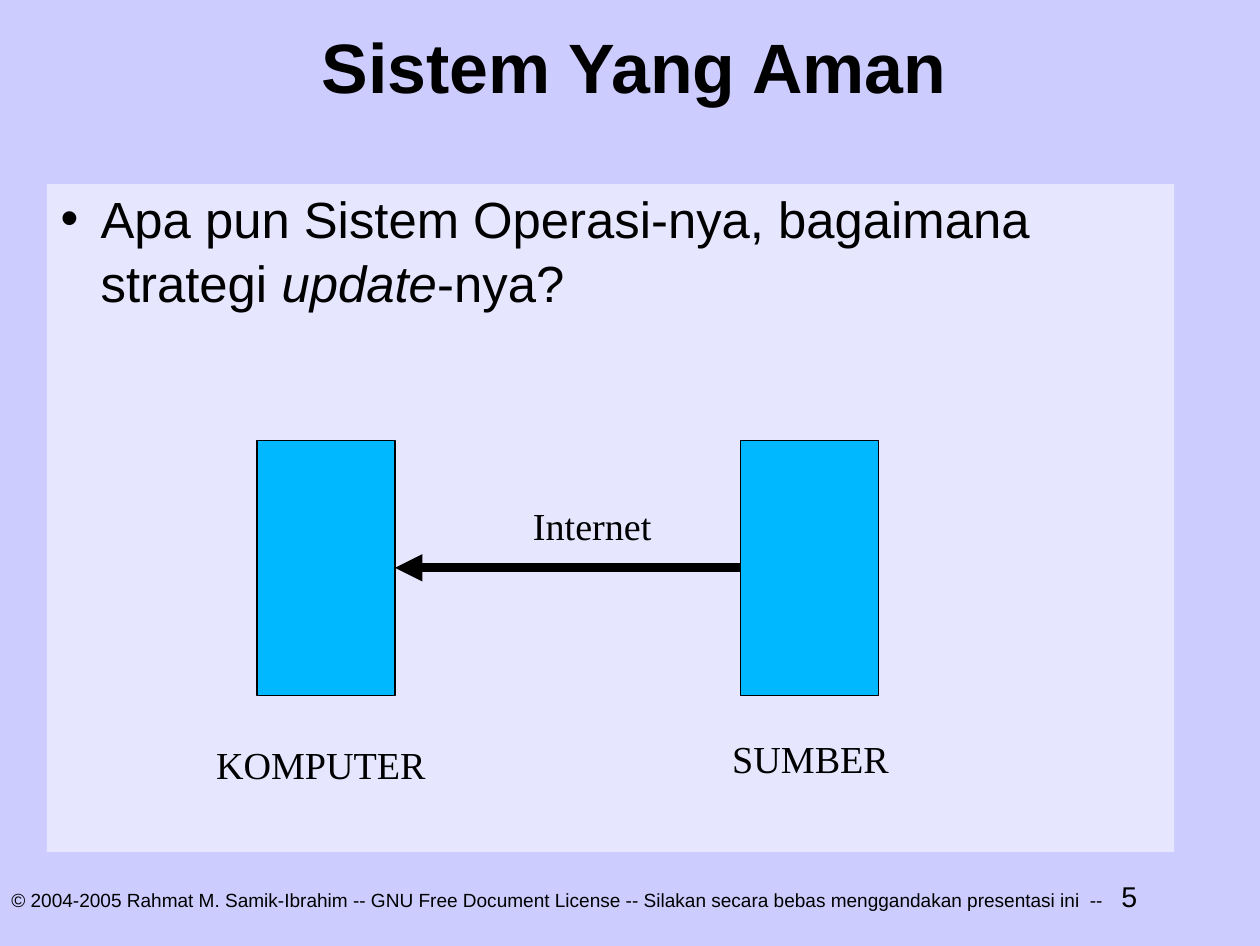
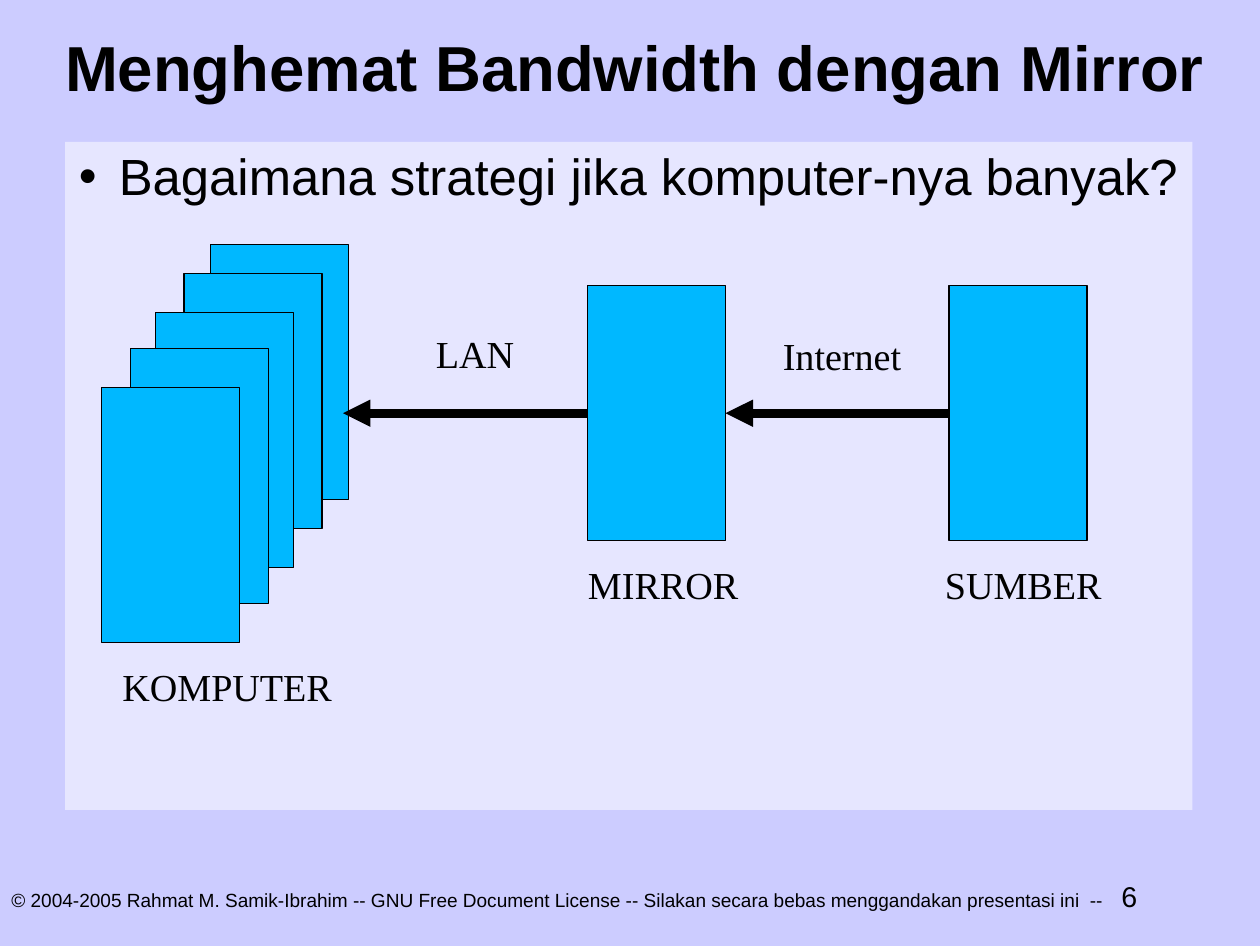
from dataclasses import dataclass

from lxml import etree
from pptx import Presentation
from pptx.dml.color import RGBColor
from pptx.enum.shapes import MSO_CONNECTOR, MSO_SHAPE
from pptx.enum.text import MSO_ANCHOR, PP_ALIGN
from pptx.oxml.ns import qn
from pptx.util import Inches, Pt

RECTANGLE = MSO_SHAPE.RECTANGLE
STRAIGHT = MSO_CONNECTOR.STRAIGHT
LEFT, CENTER = PP_ALIGN.LEFT, PP_ALIGN.CENTER
TOP, MIDDLE = MSO_ANCHOR.TOP, MSO_ANCHOR.MIDDLE
LEFT_SIDE, RIGHT_SIDE = 1, 3


@dataclass(frozen=True)
class Theme:
    background: RGBColor = RGBColor(0xCC, 0xCC, 0xFF)
    panel: RGBColor = RGBColor(0xE6, 0xE6, 0xFF)
    node: RGBColor = RGBColor(0x00, 0xB8, 0xFF)
    ink: RGBColor = RGBColor(0, 0, 0)
    sans: str = "Arial"
    serif: str = "Times New Roman"
    title_size: int = 44
    long_title_size: int = 40
    body_size: int = 32
    label_size: int = 24
    page_size: int = 18
    footer_size: int = 12
    arrow_width: float = 5.75


THEME = Theme()
SLIDE_WIDTH, SLIDE_HEIGHT = Inches(11.02), Inches(8.27)

# Places and lengths are counted on a grid of 100 columns by 100 rows.
COLUMN, ROW = SLIDE_WIDTH / 100, SLIDE_HEIGHT / 100
TITLE_BOX = (2.45, 2.54, 95.8, 8.83)
FOOTER_BOX = (0.9, 92.87, 98.7, 4.47)
PANEL_SIZE = (89.47, 70.62)
NODE_SIZE = (10.95, 26.96)
LABEL_SIZE = (18.15, 5.56)
PAGE_TAB = 88.1
BULLET_INDENT, BULLET_HANG = Inches(0.47), Inches(-0.35)
FOOTER = ("© 2004-2005 Rahmat M. Samik-Ibrahim -- GNU Free Document License"
          " -- Silakan secara bebas menggandakan presentasi ini  --")


def on_grid(column, row):
    return round(column * COLUMN), round(row * ROW)


def place(box):
    return *on_grid(*box[:2]), *on_grid(*box[2:])


def write(shape, runs, *, size, font=THEME.sans, bold=False, align=LEFT,
          anchor=TOP, wrap=True):
    """Fill a shape with one paragraph of (text, font overrides) runs."""
    frame = shape.text_frame
    frame.word_wrap = wrap
    frame.vertical_anchor = anchor
    frame.margin_left = frame.margin_right = 0
    frame.margin_top = frame.margin_bottom = 0
    paragraph = frame.paragraphs[0]
    paragraph.alignment = align
    for text, overrides in runs:
        run = paragraph.add_run()
        run.text = text
        run.font.name = font
        run.font.color.rgb = THEME.ink
        run.font.bold = bold
        run.font.size = Pt(overrides.get("size", size))
        run.font.italic = overrides.get("italic", False)
    return paragraph


def add_text(slide, box, runs, **text_format):
    return write(slide.shapes.add_textbox(*place(box)), runs, **text_format)


def add_rectangle(slide, box, fill, outlined=False):
    rectangle = slide.shapes.add_shape(RECTANGLE, *place(box))
    rectangle.shadow.inherit = False
    rectangle.fill.solid()
    rectangle.fill.fore_color.rgb = fill
    if outlined:
        rectangle.line.color.rgb = THEME.ink
        rectangle.line.width = Pt(0)
    else:
        rectangle.line.fill.background()
    return rectangle


def add_node(slide, column, row):
    return add_rectangle(slide, (column, row, *NODE_SIZE), THEME.node, True)


def add_label(slide, text, column, row, width=LABEL_SIZE[0], align=CENTER):
    add_text(slide, (column, row, width, LABEL_SIZE[1]), [(text, {})],
             size=THEME.label_size, font=THEME.serif, align=align)


def add_arrow(slide, source, target=None, tip_column=0):
    """Point left from source to target, or to a column at the same height."""
    middle = source.top + source.height // 2
    arrow = slide.shapes.add_connector(
        STRAIGHT, source.left, middle, on_grid(tip_column, 0)[0], middle)
    arrow.begin_connect(source, LEFT_SIDE)
    if target is not None:
        arrow.end_connect(target, RIGHT_SIDE)
    arrow.line.color.rgb = THEME.ink
    arrow.line.width = Pt(THEME.arrow_width)
    etree.SubElement(arrow.line._get_or_add_ln(), qn("a:tailEnd"),
                     type="triangle")
    etree.SubElement(arrow._element.spPr, qn("a:effectLst"))


def add_panel(slide, column, row, runs):
    """Add the pale panel with its bulleted question."""
    panel = add_rectangle(slide, (column, row, *PANEL_SIZE), THEME.panel)
    paragraph = write(panel, runs, size=THEME.body_size)
    paragraph.line_spacing = 1.05
    properties = paragraph._p.get_or_add_pPr()
    properties.set("marL", str(BULLET_INDENT))
    properties.set("indent", str(BULLET_HANG))
    etree.SubElement(properties, qn("a:buFont"), typeface=THEME.sans)
    etree.SubElement(properties, qn("a:buChar"), char="•")


def add_footer(slide, page):
    paragraph = add_text(
        slide, FOOTER_BOX,
        [(FOOTER, {}), (f"\t{page}", {"size": THEME.page_size})],
        size=THEME.footer_size, wrap=False)
    tabs = etree.SubElement(paragraph._p.get_or_add_pPr(), qn("a:tabLst"))
    etree.SubElement(tabs, qn("a:tab"), pos=str(on_grid(PAGE_TAB, 0)[0]),
                     algn="l")


def add_slide(deck, title, page, title_size=THEME.title_size):
    slide = deck.slides.add_slide(deck.slide_layouts[6])
    add_footer(slide, page)
    add_text(slide, TITLE_BOX, [(title, {})], size=title_size, bold=True,
             align=CENTER, anchor=MIDDLE)
    return slide


def build_secure_system(deck):
    slide = add_slide(deck, "Sistem Yang Aman", 5)
    add_panel(slide, 3.72, 19.47, [
        ("Apa pun Sistem Operasi-nya, bagaimana strategi ", {}),
        ("update", {"italic": True}),
        ("-nya?", {}),
    ])
    node_row = 46.55
    computer = add_node(slide, 20.4, node_row)
    origin = add_node(slide, 58.76, node_row)
    add_arrow(slide, origin, computer)
    add_label(slide, "KOMPUTER", 17.15, 78.36, align=LEFT)
    add_label(slide, "Internet", 37.93, 53.08)
    add_label(slide, "SUMBER", 55.26, 77.75)


def build_mirror(deck):
    slide = add_slide(deck, "Menghemat Bandwidth dengan Mirror", 6,
                      THEME.long_title_size)
    add_panel(slide, 5.17, 15,
              [("Bagaimana strategi jika komputer-nya banyak?", {})])
    computers = [(16.7, 25.88), (14.61, 28.9), (12.34, 33.01),
                 (10.34, 36.88), (8.08, 40.99)]
    for column, row in computers:
        add_node(slide, column, row)
    node_row, label_row = 30.2, 59.37
    mirror = add_node(slide, 46.64, node_row)
    origin = add_node(slide, 75.32, node_row)
    add_arrow(slide, mirror, tip_column=27.22)
    add_arrow(slide, origin, mirror)
    add_label(slide, "KOMPUTER", 9.71, 70.13, align=LEFT)
    add_label(slide, "MIRROR", 43.56, label_row)
    add_label(slide, "SUMBER", 72.14, label_row)
    add_label(slide, "LAN", 30.49, 34.95, width=14.43)
    add_label(slide, "Internet", 59.8, 35.19, width=14.07)


def main():
    deck = Presentation()
    deck.slide_width, deck.slide_height = SLIDE_WIDTH, SLIDE_HEIGHT
    backdrop = deck.slide_master.background.fill
    backdrop.solid()
    backdrop.fore_color.rgb = THEME.background
    build_secure_system(deck)
    build_mirror(deck)
    deck.save("out.pptx")


if __name__ == "__main__":
    main()
